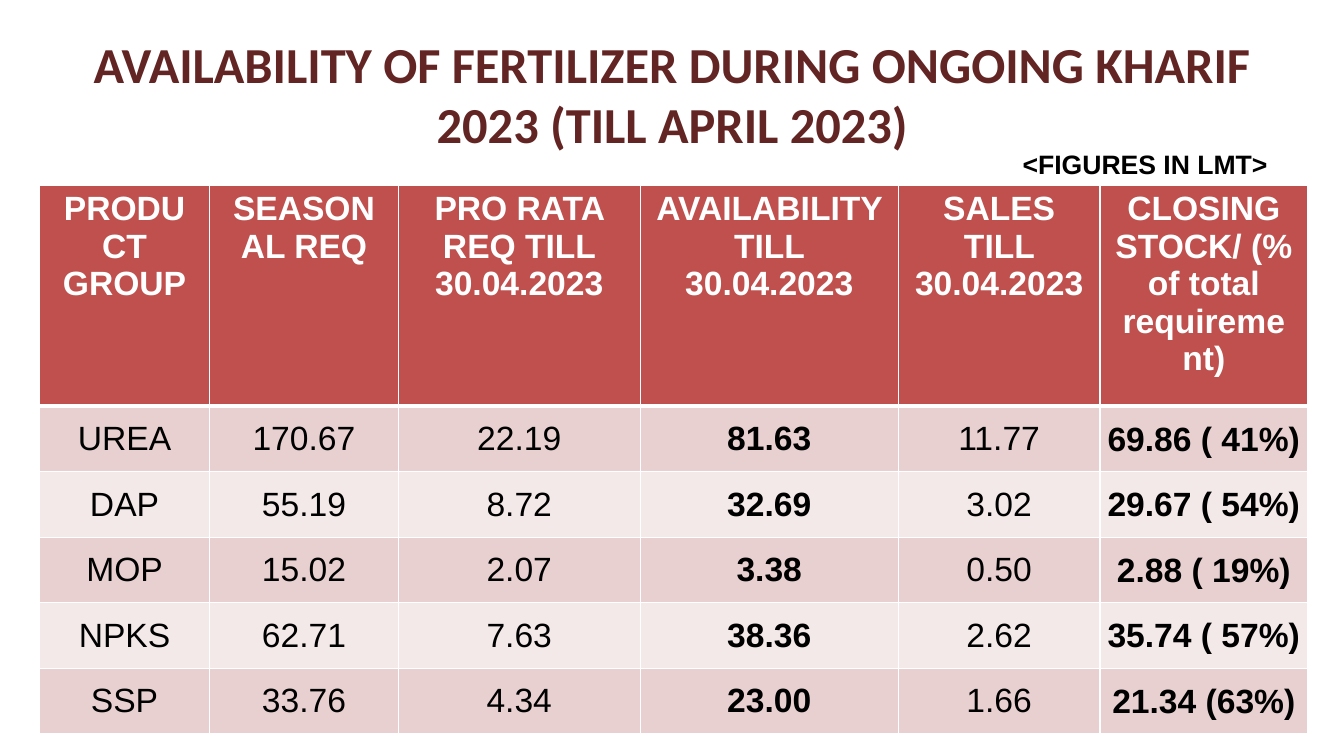
from dataclasses import dataclass

from lxml.etree import SubElement
from pptx import Presentation
from pptx.dml.color import RGBColor
from pptx.enum.text import MSO_ANCHOR, MSO_AUTO_SIZE, PP_ALIGN
from pptx.oxml.ns import qn
from pptx.util import Inches, Pt


@dataclass(frozen=True)
class Theme:
    title: str = "632523"
    head: str = "C0504D"
    bands: tuple = ("E8D0D0", "F4E9E9")
    white: str = "FFFFFF"
    black: str = "000000"
    title_font: str = "Calibri"
    body_font: str = "Arial"
    title_size: int = 36
    cell_size: int = 24
    note_size: int = 19


THEME = Theme()
TITLE = "AVAILABILITY OF FERTILIZER DURING ONGOING KHARIF 2023 (TILL APRIL 2023)"
NOTE = "<FIGURES IN LMT>"
ROWS = [
    ["PRODUCT GROUP", "SEASONAL REQ", "PRO RATA REQ TILL 30.04.2023",
     "AVAILABILITY TILL 30.04.2023", "SALES TILL 30.04.2023",
     "CLOSING STOCK/ (% of total requirement)"],
    ["UREA", "170.67", "22.19", "81.63", "11.77", "69.86 ( 41%)"],
    ["DAP", "55.19", "8.72", "32.69", "3.02", "29.67 ( 54%)"],
    ["MOP", "15.02", "2.07", "3.38", "0.50", "2.88 ( 19%)"],
    ["NPKS", "62.71", "7.63", "38.36", "2.62", "35.74 ( 57%)"],
    ["SSP", "33.76", "4.34", "23.00", "1.66", "21.34 (63%)"],
]
WIDTHS = [1.69, 1.87, 2.4, 2.56, 2, 2.06]
HEAD_HIGH, ROW_HIGH = 2.19, 0.65
BOLD_COLS = (3, 5)
STOCK_COL = 5


def add_run(frame, text, font, size, color, bold, align):
    para = frame.paragraphs[0]
    para.alignment = align
    run = para.add_run()
    run.text = text
    run.font.name = font
    run.font.size = Pt(size)
    run.font.bold = bold
    run.font.color.rgb = RGBColor.from_string(color)


def set_pad(item, left, top, right, bottom):
    item.margin_left, item.margin_top = Inches(left), Inches(top)
    item.margin_right, item.margin_bottom = Inches(right), Inches(bottom)


def add_title(slide):
    shape = slide.shapes.title
    shape.left, shape.top = Inches(0.67), Inches(0.3)
    shape.width, shape.height = Inches(12), Inches(1.25)
    frame = shape.text_frame
    frame.word_wrap = True
    frame.auto_size = MSO_AUTO_SIZE.NONE
    frame.vertical_anchor = MSO_ANCHOR.MIDDLE
    set_pad(frame, 0.1, 0.05, 0.1, 0.05)
    add_run(frame, TITLE, THEME.title_font, THEME.title_size,
            THEME.title, True, PP_ALIGN.CENTER)


def add_note(slide):
    box = slide.shapes.add_textbox(
        Inches(0.67), Inches(1.42), Inches(12), Inches(0.42))
    frame = box.text_frame
    frame.word_wrap = True
    frame.auto_size = MSO_AUTO_SIZE.SHAPE_TO_FIT_TEXT
    add_run(frame, NOTE, THEME.body_font, THEME.note_size,
            THEME.black, True, PP_ALIGN.RIGHT)


def set_edges(cell, top, bottom):
    # Border lines must come before the fill in the cell properties
    props = cell._tc.get_or_add_tcPr()
    edges = {"L": 1, "R": 1, "T": top, "B": bottom}
    for place, (side, width) in enumerate(edges.items()):
        line = SubElement(props, qn(f"a:ln{side}"), w=str(Pt(width)))
        fill = SubElement(line, qn("a:solidFill"))
        SubElement(fill, qn("a:srgbClr"), val=THEME.white)
        props.insert(place, line)


def fill_cell(cell, text, row, col):
    head = row == 0
    color = THEME.head if head else THEME.bands[(row - 1) % 2]
    cell.fill.solid()
    cell.fill.fore_color.rgb = RGBColor.from_string(color)
    cell.vertical_anchor = MSO_ANCHOR.TOP if head else MSO_ANCHOR.MIDDLE
    tight = col == STOCK_COL and not head
    set_pad(cell, *((0.01, 0.01, 0.01, 0) if tight
                    else (0.13, 0.05, 0.13, 0.05)))
    add_run(cell.text_frame, text, THEME.body_font, THEME.cell_size,
            THEME.white if head else THEME.black,
            head or col in BOLD_COLS, PP_ALIGN.CENTER)
    set_edges(cell, 3 if row == 1 else 1, 3 if head else 1)


def add_grid(slide):
    highs = [HEAD_HIGH] + [ROW_HIGH] * (len(ROWS) - 1)
    table = slide.shapes.add_table(
        len(ROWS), len(WIDTHS), Inches(0.39), Inches(1.84),
        Inches(sum(WIDTHS)), Inches(sum(highs))).table
    for column, width in zip(table.columns, WIDTHS):
        column.width = Inches(width)
    for line, high in zip(table.rows, highs):
        line.height = Inches(high)
    for row, texts in enumerate(ROWS):
        for col, text in enumerate(texts):
            fill_cell(table.cell(row, col), text, row, col)


def main():
    deck = Presentation()
    deck.slide_width, deck.slide_height = Inches(13.33), Inches(7.5)
    slide = deck.slides.add_slide(deck.slide_layouts.get_by_name("Title Only"))

    # Fertilizer table, then the heading and unit note above it
    add_grid(slide)
    add_title(slide)
    add_note(slide)
    deck.save("out.pptx")


if __name__ == "__main__":
    main()
